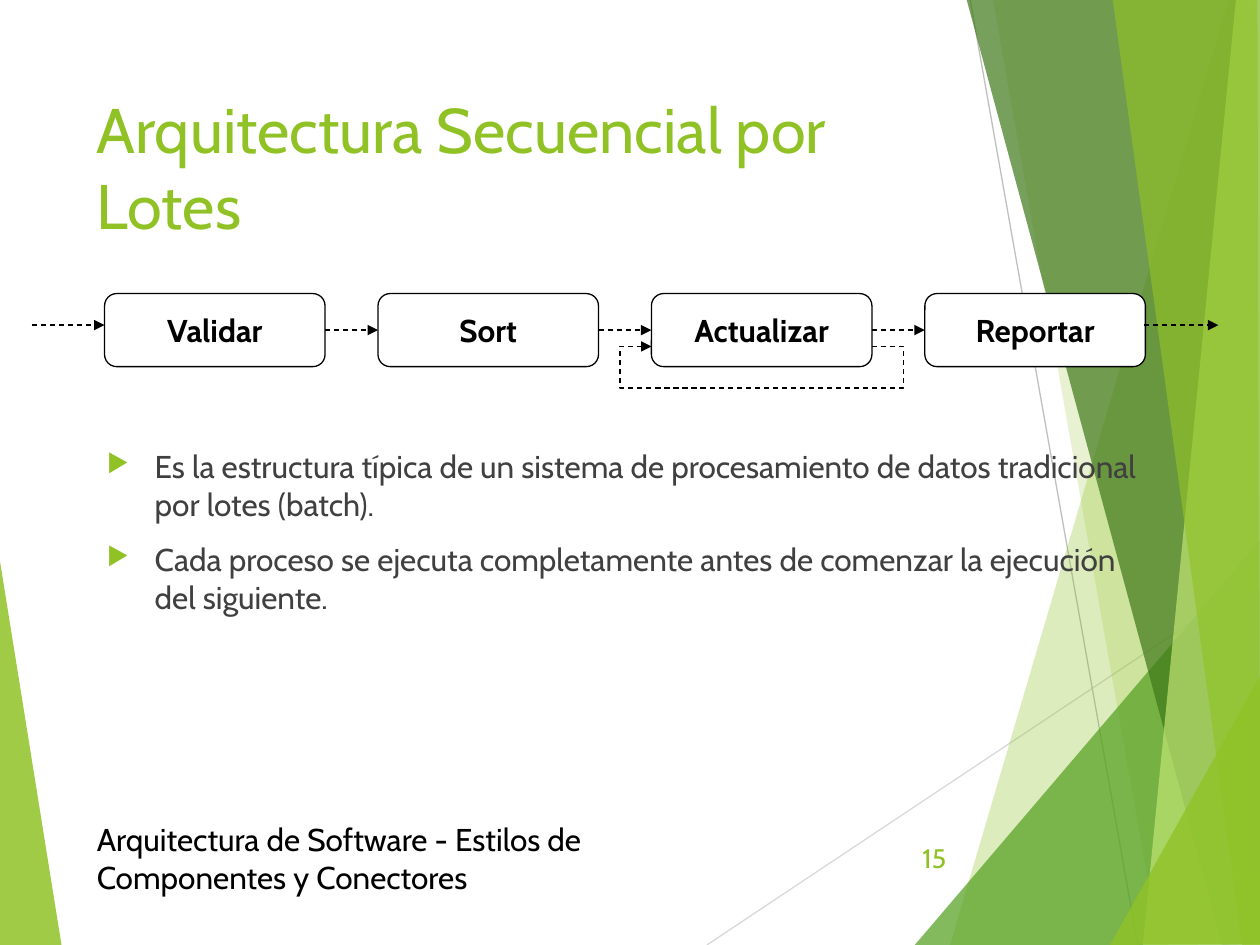
from pptx import Presentation
from pptx.dml.color import RGBColor
from pptx.enum.dml import MSO_LINE_DASH_STYLE as Dash
from pptx.enum.shapes import MSO_CONNECTOR as Connector, MSO_SHAPE as Shape
from pptx.enum.text import MSO_ANCHOR as Anchor, PP_ALIGN as Align
from pptx.oxml.ns import qn
from pptx.util import Inches, Pt
from lxml.etree import SubElement

LIME = RGBColor(0x90, 0xC2, 0x26)
GREEN = RGBColor(0x54, 0xA0, 0x21)
FOREST = RGBColor(0x3F, 0x78, 0x19)
PALE_LIME = RGBColor(0xC0, 0xE4, 0x74)
LIGHT_GREY = RGBColor(0xD9, 0xD9, 0xD9)
GREY = RGBColor(0xBF, 0xBF, 0xBF)
DARK_GREY = RGBColor(0x40, 0x40, 0x40)
BLACK = RGBColor(0, 0, 0)
WHITE = RGBColor(0xFF, 0xFF, 0xFF)

FONT = "Cabin"

LEFT_FACET = ([(-0.01, 4.39), (0.49, 7.51), (-0.01, 7.5)], LIME, 85)
RIGHT_FACETS = [
    ([(9.75, 0), (7.54, 7.5), (10.02, 7.51), (10.01, 0.01)], LIME, 30),
    ([(7.88, -0.01), (9.2, 7.5), (10.01, 7.5), (10.01, -0.01)], LIME, 20),
    ([(7.26, 7.5), (10, 4.29), (10.01, 7.5)], GREEN, 72),
    ([(7.67, -0.01), (9.7, 7.5), (10.01, 7.49), (10.01, -0.01)], FOREST, 70),
    ([(9.81, -0.01), (9.07, 7.5), (10.01, 7.5), (10, -0.01)], PALE_LIME, 70),
    ([(8.83, -0.01), (9.86, 7.5), (10, 7.5), (9.98, -0.01)], LIME, 65),
    ([(8.81, 7.5), (10.01, 5.35), (10.01, 7.49)], LIME, 80),
]
BACKGROUND_LINES = [
    ((5.61, 7.5), (10.01, 4.57), LIGHT_GREY),
    ((7.7, 0), (9.03, 7.5), GREY),
]

STAGES = ["Validar", "Sort", "Actualizar", "Reportar"]
STAGE_LEFT, STAGE_TOP, STAGE_PITCH = 0.83, 2.33, 2.17
STAGE_WIDTH, STAGE_HEIGHT = 1.75, 0.58
FLOW_Y = 2.58
FEEDBACK_LOOP = [(6.92, 2.75), (7.17, 2.75), (7.17, 3.08),
                 (4.92, 3.08), (4.92, 2.75), (5.17, 2.75)]

POINTS = [
    "Es la estructura típica de un sistema de procesamiento de datos "
    "tradicional por lotes (batch).",
    "Cada proceso se ejecuta completamente antes de comenzar la ejecución "
    "del siguiente.",
]


def add_outline(page, points, close):
    corners = [(Inches(x), Inches(y)) for x, y in points]
    builder = page.shapes.build_freeform(*corners[0], scale=1.0)
    builder.add_line_segments(corners[1:], close=close)
    outline = builder.convert_to_shape()
    outline.shadow.inherit = False
    return outline


def add_facet(page, points, color, opacity):
    facet = add_outline(page, points, True)
    facet.fill.solid()
    facet.fill.fore_color.rgb = color
    facet.line.fill.background()
    color_element = next(facet.element.iter(qn("a:srgbClr")))
    SubElement(color_element, qn("a:alpha"), val=str(opacity * 1000))


def add_line(page, start, end, color):
    line = page.shapes.add_connector(
        Connector.STRAIGHT, *(Inches(value) for value in (*start, *end)))
    line.line.color.rgb = color
    line.line.width = Pt(0.75)
    SubElement(line.element.spPr, qn("a:effectLst"))
    return line


def make_dashed_arrow(shape):
    shape.line.color.rgb = BLACK
    shape.line.width = Pt(0.75)
    shape.line.dash_style = Dash.DASH
    outline = next(shape.element.iter(qn("a:ln")))
    SubElement(outline, qn("a:tailEnd"), type="triangle")


def add_span(para, text, size, color, bold=False):
    span = para.add_run()
    span.text = text
    span.font.name = FONT
    span.font.size = Pt(size)
    span.font.color.rgb = color
    span.font.bold = bold


def add_text_box(page, left, top, width, height, anchor=Anchor.TOP):
    box = page.shapes.add_textbox(
        Inches(left), Inches(top), Inches(width), Inches(height))
    box.text_frame.word_wrap = True
    box.text_frame.vertical_anchor = anchor
    return box.text_frame


def set_bullet(para):
    properties = para._p.get_or_add_pPr()
    properties.set("marL", str(Inches(0.38)))
    properties.set("indent", str(-Inches(0.38)))
    bullet_color = SubElement(properties, qn("a:buClr"))
    SubElement(bullet_color, qn("a:srgbClr"), val=str(LIME))
    SubElement(properties, qn("a:buSzPct"), val="80000")
    SubElement(properties, qn("a:buChar"), char="▶")


def add_bullets(page):
    frame = add_text_box(page, 0.75, 3.5, 8.5, 3.42)
    for index, text in enumerate(POINTS):
        para = frame.add_paragraph() if index else frame.paragraphs[0]
        set_bullet(para)
        if index:
            para.space_before = Pt(10)
        add_span(para, text, 18, DARK_GREY)


def add_stage(page, index, name):
    box = page.shapes.add_shape(
        Shape.ROUNDED_RECTANGLE,
        Inches(STAGE_LEFT + index * STAGE_PITCH), Inches(STAGE_TOP),
        Inches(STAGE_WIDTH), Inches(STAGE_HEIGHT))
    box.shadow.inherit = False
    box.fill.solid()
    box.fill.fore_color.rgb = WHITE
    box.line.color.rgb = BLACK
    box.line.width = Pt(0.75)
    box.text_frame.word_wrap = False
    box.text_frame.vertical_anchor = Anchor.MIDDLE
    para = box.text_frame.paragraphs[0]
    para.alignment = Align.CENTER
    add_span(para, name, 18, BLACK, bold=True)
    return box


def add_pipeline(page):
    boxes = [add_stage(page, index, name) for index, name in enumerate(STAGES)]
    for start, end in ((0.25, 0.83), (9.08, 9.67)):
        make_dashed_arrow(add_line(page, (start, FLOW_Y), (end, FLOW_Y), BLACK))
    for source, target in zip(boxes, boxes[1:]):
        arrow = add_line(page, (0, 0), (0, 0), BLACK)
        arrow.begin_connect(source, 3)
        arrow.end_connect(target, 1)
        make_dashed_arrow(arrow)
    loop = add_outline(page, FEEDBACK_LOOP, False)
    loop.fill.background()
    make_dashed_arrow(loop)


def add_background(page):
    add_facet(page, *LEFT_FACET)
    for start, end, color in BACKGROUND_LINES:
        add_line(page, start, end, color)
    for facet in RIGHT_FACETS:
        add_facet(page, *facet)


def main():
    deck = Presentation()
    deck.slide_width, deck.slide_height = Inches(10), Inches(7.5)
    page = deck.slides.add_slide(deck.slide_layouts[6])

    add_background(page)
    title = add_text_box(page, 0.67, 0.67, 6.94, 1.44)
    add_span(title.paragraphs[0], "Arquitectura Secuencial por Lotes", 36, LIME)
    add_bullets(page)
    footer = add_text_box(page, 0.67, 6.61, 5.06, 0.4, Anchor.MIDDLE)
    add_span(footer.paragraphs[0],
             "Arquitectura de Software - Estilos de Componentes y Conectores",
             18, BLACK)
    number = add_text_box(page, 7.05, 6.61, 0.56, 0.4, Anchor.MIDDLE)
    number.paragraphs[0].alignment = Align.RIGHT
    add_span(number.paragraphs[0], "15", 15.3, LIME)
    add_pipeline(page)

    deck.save("out.pptx")


if __name__ == "__main__":
    main()
